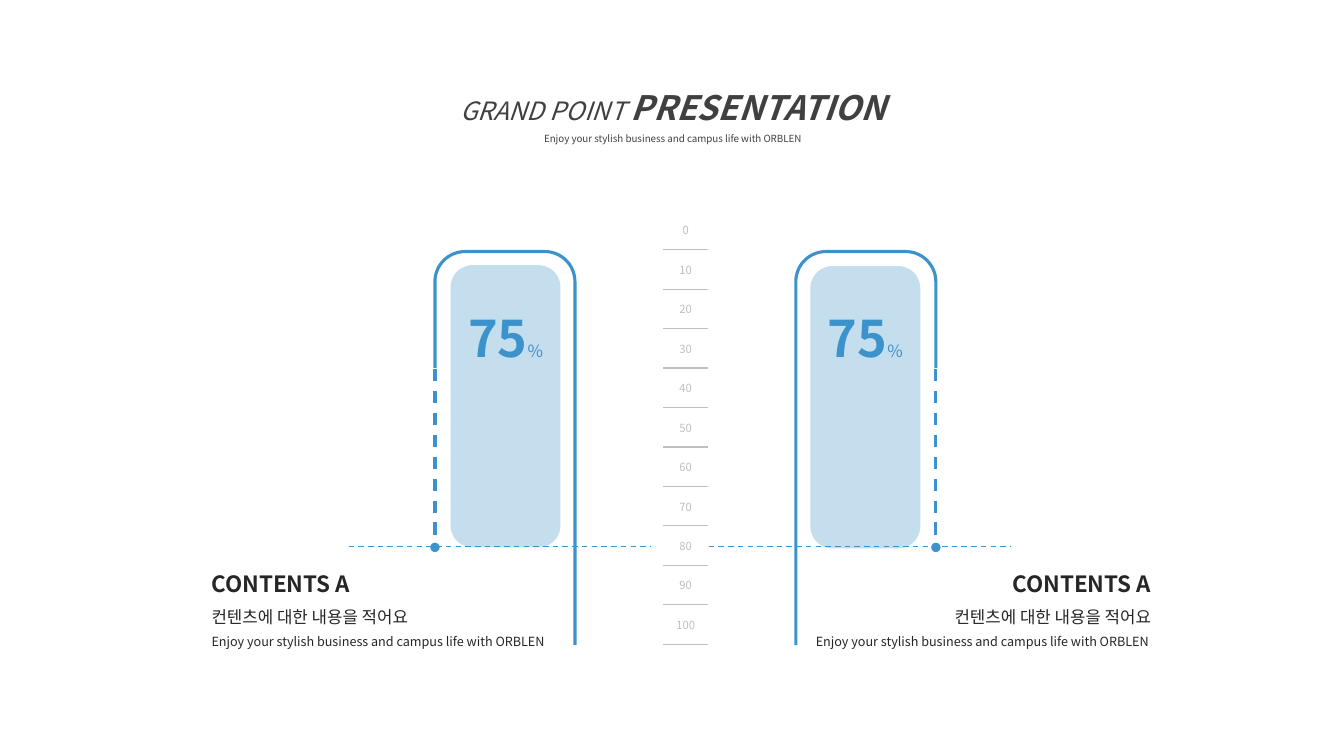
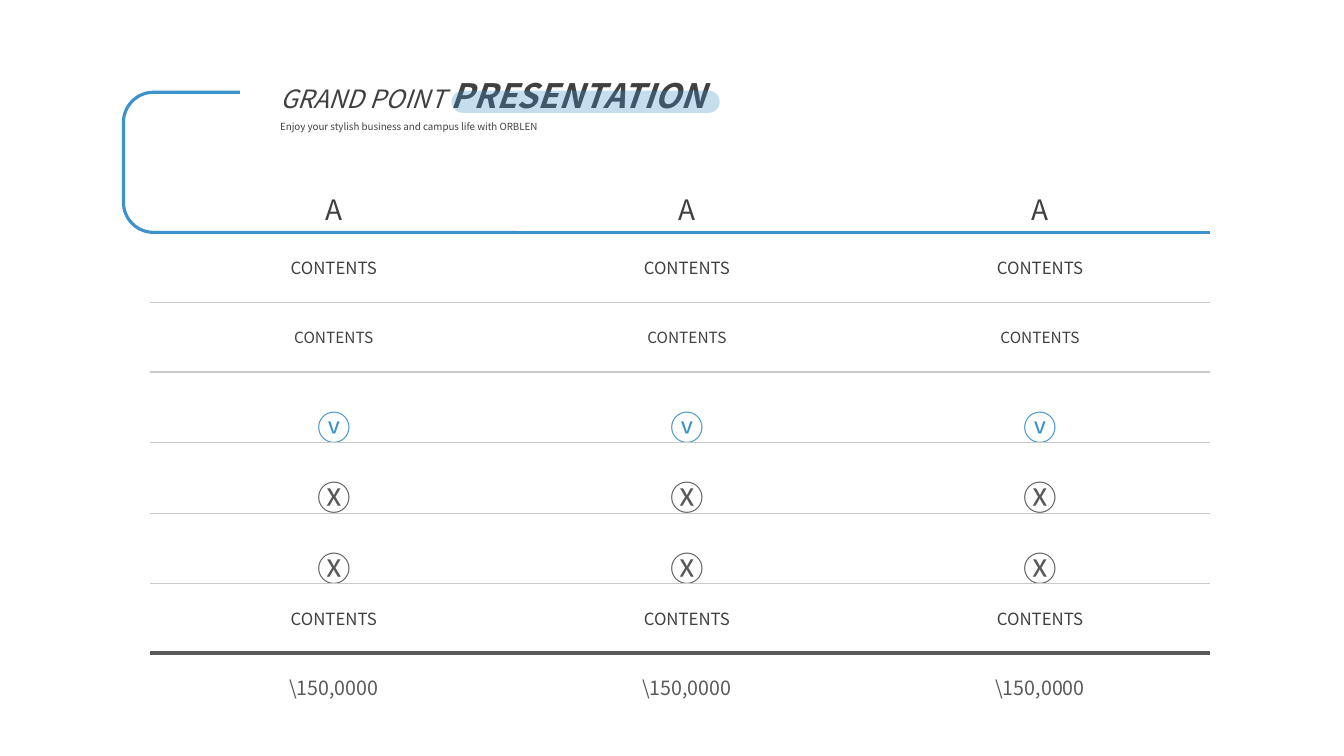
from math import cos, pi, sin

from lxml.etree import SubElement
from pptx import Presentation
from pptx.dml.color import RGBColor
from pptx.enum.dml import MSO_LINE
from pptx.enum.shapes import MSO_CONNECTOR, MSO_SHAPE
from pptx.enum.text import MSO_ANCHOR, PP_ALIGN
from pptx.oxml.ns import qn
from pptx.util import Pt

FONT = "Noto Sans CJK KR"
BLUE = RGBColor(0x3C, 0x92, 0xCA)
INK = RGBColor(0x26, 0x26, 0x26)
DARK = RGBColor(0x40, 0x40, 0x40)
GRAY = RGBColor(0x59, 0x59, 0x59)
SCALE_GRAY = RGBColor(0xBF, 0xBF, 0xBF)
RULE_GRAY = RGBColor(0xCA, 0xCA, 0xCA)
LEFT, CENTER, RIGHT = PP_ALIGN.LEFT, PP_ALIGN.CENTER, PP_ALIGN.RIGHT
NO_STYLE = "{2D5ABB26-0587-4C30-8999-92F81FD0307C}"

TAGLINE = "Enjoy your stylish business and campus life with ORBLEN"
TITLE = [("GRAND POINT ", 18, False), ("PRESENTATION", 24, True)]
PERCENT = [("75", 36, True), ("%", 12, False)]
CARD = [("CONTENTS A", 16, True), ("컨텐츠에 대한 내용을 적어요", 12, False)]
AXIS = 489.6
SIDES = [
    dict(sign=-1, bar_top=189.4, card_x=144, align=LEFT, rule=(249, 464.6), tagline=TAGLINE),
    dict(sign=1, bar_top=190.1, card_x=567.4, align=RIGHT, rule=(506.2, 722.2),
         tagline=TAGLINE + " "),
]
SCALE = range(0, 101, 10)
PLAN_COLUMNS = 3
PLAN_ROWS = [
    ("A", 20, DARK, 1, 36),
    ("CONTENTS", 12, DARK, 1, 49.7),
    ("CONTENTS", 11, DARK, 1, 49.7),
    ("ⓥ", 24, BLUE, 1.5, 49.7),
    ("Ⓧ", 24, GRAY, 1.5, 49.7),
    ("Ⓧ", 24, GRAY, 1.5, 49.7),
    ("CONTENTS", 12, DARK, 1, 49.7),
    ("\\150,0000", 14, GRAY, 1.5, 33),
]
PLAN_RULES = [(BLUE, 2.25)] + [(RULE_GRAY, 1)] * 5 + [(GRAY, 3)]


def write(p, runs, color, align=LEFT, spacing=1.5, italic=False):
    p.alignment, p.line_spacing = align, spacing
    p.font.name, p.font.italic = FONT, italic
    p.font.color.rgb = color
    SubElement(p._p.pPr.find(qn("a:defRPr")), qn("a:ea"), typeface=FONT)
    for text, size, bold in runs:
        r = p.add_run()
        r.text = text
        font = p.font if len(runs) == 1 else r.font
        font.size, font.bold = Pt(size), bold


def add_text(s, x, y, w, h, paragraphs, color, align, italics=()):
    tf = s.shapes.add_textbox(Pt(x), Pt(y), Pt(w), Pt(h)).text_frame
    tf.word_wrap = True
    for i, runs in enumerate(paragraphs):
        p = tf.add_paragraph() if i else tf.paragraphs[0]
        write(p, runs, color, align, italic=i in italics)


def add_title(s, x, y, align):
    add_text(s, x, y, 434, 65.5, [TITLE, [(TAGLINE, 7, False)]], DARK, align, italics=(0,))


def add_tint(s, x, y, w, h, rounding):
    sp = s.shapes.add_shape(MSO_SHAPE.ROUNDED_RECTANGLE, Pt(x), Pt(y), Pt(w), Pt(h))
    sp.adjustments[0] = rounding
    sp.shadow.inherit = False
    sp.fill.solid()
    sp.fill.fore_color.rgb = BLUE
    color = sp.fill._xPr.find(qn("a:solidFill"))[0]
    SubElement(color, qn("a:alpha"), val="30000")
    sp.line.fill.background()


def add_bracket(s, start, corner1, corner2, end, radius=21.5, steps=16):
    points = [start]
    corners = [(start, corner1, corner2), (corner1, corner2, end)]
    for before, corner, after in corners:
        def toward(other):
            length = abs(other[0] - corner[0]) + abs(other[1] - corner[1])
            return [(o - c) * radius / length for o, c in zip(other, corner)]
        back, ahead = toward(before), toward(after)
        for i in range(steps + 1):
            t = pi / 2 * i / steps
            points.append([c + b * (1 - sin(t)) + a * (1 - cos(t))
                           for c, b, a in zip(corner, back, ahead)])
    points = [(Pt(x), Pt(y)) for x, y in points + [end]]
    builder = s.shapes.build_freeform(*points[0])
    builder.add_line_segments(points[1:], close=False)
    sp = builder.convert_to_shape()
    sp.shadow.inherit = False
    sp.fill.background()
    sp.line.color.rgb = BLUE
    sp.line.width = Pt(2.25)


def add_dash(s, x1, y1, x2, y2, width, dot=False):
    line = s.shapes.add_connector(MSO_CONNECTOR.STRAIGHT, Pt(x1), Pt(y1), Pt(x2), Pt(y2))
    line.line.color.rgb = BLUE
    line.line.width = Pt(width)
    line.line.dash_style = MSO_LINE.DASH
    if dot:
        SubElement(line.line._get_or_add_ln(), qn("a:tailEnd"), type="oval")
    SubElement(line._element.spPr, qn("a:effectLst"))


def add_border(cell, side, color, width):
    ln = SubElement(cell._tc.get_or_add_tcPr(), qn("a:" + side), w=str(Pt(width)))
    SubElement(SubElement(ln, qn("a:solidFill")), qn("a:srgbClr"), val=str(color))


def add_grid(s, x, y, w, rows, columns, rules, inset=7.2):
    heights = [row[-1] for row in rows]
    frame = s.shapes.add_table(len(rows), columns, Pt(x), Pt(y), Pt(w), Pt(sum(heights)))
    table = frame.table
    table.first_row = table.horz_banding = False
    table._tbl.tblPr.find(qn("a:tableStyleId")).text = NO_STYLE
    for i, (text, size, color, spacing, height) in enumerate(rows):
        table.rows[i].height = Pt(height)
        for cell in table.rows[i].cells:
            cell.vertical_anchor = MSO_ANCHOR.MIDDLE
            cell.margin_left = Pt(inset)
            write(cell.text_frame.paragraphs[0], [(text, size, False)], color, CENTER, spacing)
            if i:
                add_border(cell, "lnT", *rules[i - 1])
            if i < len(rules):
                add_border(cell, "lnB", *rules[i])
            cell.fill.background()


def build_gauges(s):
    scale = [(str(n), 8, SCALE_GRAY, 1, 28.2) for n in SCALE]
    add_grid(s, 473.8, 150.2, 32, scale, 1, [(SCALE_GRAY, 1)] * len(scale))
    bar_w, bar_h = 78.5, 201.6
    for side in SIDES:
        def at(offset):
            return AXIS + side["sign"] * offset
        bar_x = at(128.5) - bar_w / 2
        outer, inner, top = at(178.9), at(78.9), 179.7
        add_tint(s, bar_x, side["bar_top"], bar_w, bar_h, 0.2)
        add_bracket(s, (outer, 262.8), (outer, top), (inner, top), (inner, 460.8))
        card = CARD + [(side["tagline"], 9, False)]
        add_text(s, side["card_x"], 393.8, 262, 75, [[line] for line in card], INK, side["align"])
        add_text(s, bar_x, 194.4, bar_w, 72.7, [PERCENT], BLUE, CENTER)
        add_dash(s, outer, 263.5, outer, 391, 2.25, dot=True)
        start, end = side["rule"]
        add_dash(s, start, 390.3, end, 390.3, 1)
    add_title(s, 263.5, 43.9, CENTER)


def build_plans(s):
    add_title(s, 193, 35.3, LEFT)
    add_grid(s, 107.3, 130.3, 756.7, PLAN_ROWS, PLAN_COLUMNS, PLAN_RULES, inset=17.3)
    add_bracket(s, (171.4, 65.9), (88.2, 65.9), (88.2, 166), (369.4, 166))
    add_tint(s, 322.6, 64.8, 191.5, 15.8, 0.5)


def main():
    prs = Presentation()
    prs.slide_width, prs.slide_height = Pt(960), Pt(540)
    for build in (build_gauges, build_plans):
        build(prs.slides.add_slide(prs.slide_layouts[6]))
    prs.save("out.pptx")


if __name__ == "__main__":
    main()
